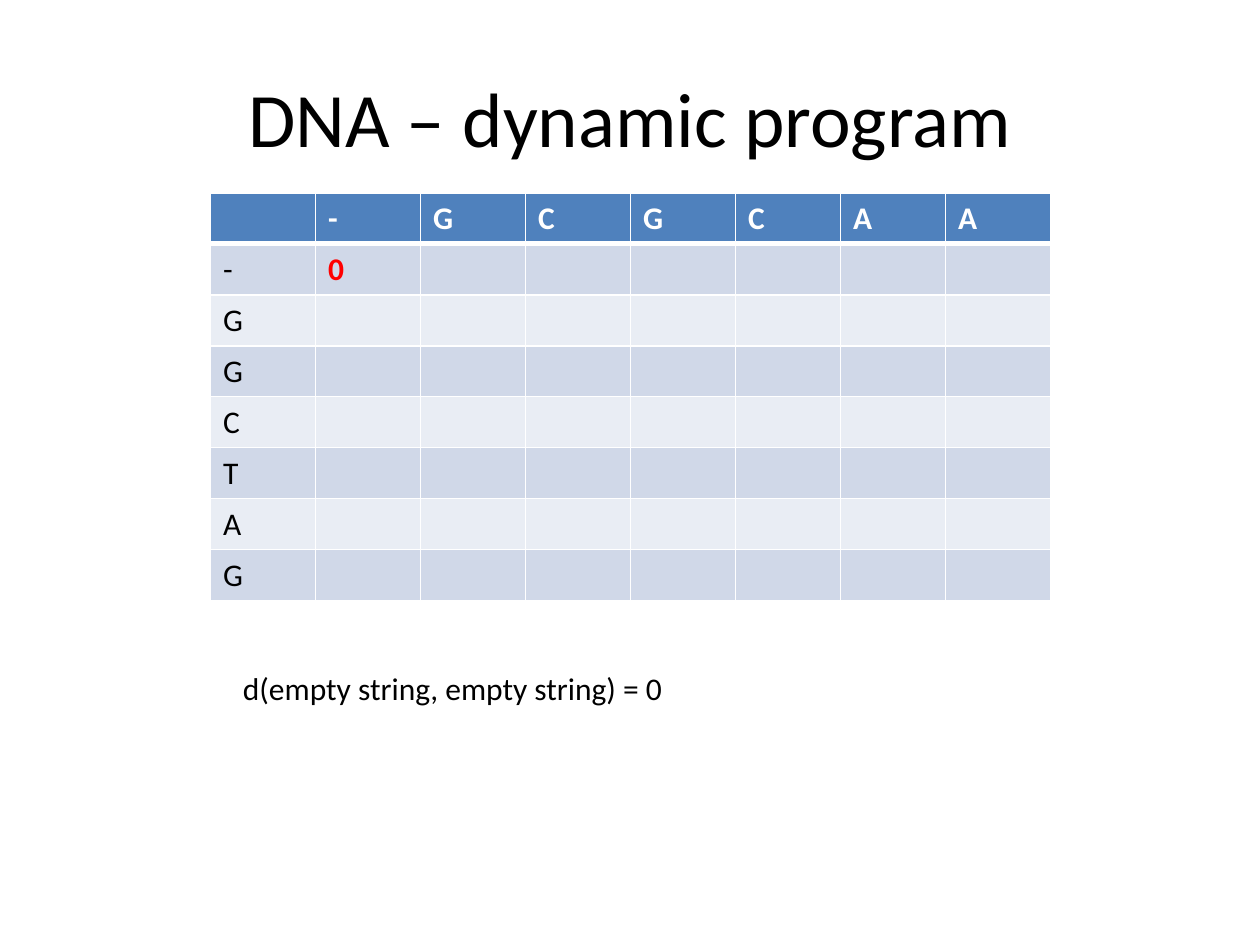
from lxml.etree import SubElement
from pptx import Presentation
from pptx.dml.color import RGBColor
from pptx.enum.text import MSO_ANCHOR, PP_ALIGN
from pptx.oxml.ns import qn
from pptx.util import Inches, Pt

COLUMN_LETTERS = "-GCGCAA"
ROW_LETTERS = "-GGCTAG"
HEADER_FILL = "4F81BD"
BAND_FILLS = ("E9EDF4", "D0D8E8")
BLACK, WHITE, RED = "000000", "FFFFFF", "FF0000"


def paint(color_format, color):
    color_format.rgb = RGBColor.from_string(color)


def write(frame, text, size=18, color=BLACK, bold=False, align=PP_ALIGN.LEFT):
    para = frame.paragraphs[0]
    para.alignment = align
    span = para.add_run()
    span.text = text
    span.font.name = "Calibri"
    span.font.size = Pt(size)
    span.font.bold = bold
    paint(span.font.color, color)


def add_text(page, text, left, top, width, height, wrap=False,
             anchor=MSO_ANCHOR.TOP, **style):
    box = page.shapes.add_textbox(Inches(left), Inches(top), Inches(width), Inches(height))
    box.text_frame.word_wrap = wrap
    box.text_frame.vertical_anchor = anchor
    write(box.text_frame, text, **style)


def set_borders(cell, top=1, bottom=1):
    """Draw white borders, with widths in points."""
    properties = cell._tc.get_or_add_tcPr()
    for side, width in (("L", 1), ("R", 1), ("T", top), ("B", bottom)):
        line = SubElement(properties, qn(f"a:ln{side}"), w=str(Pt(width)))
        fill = SubElement(line, qn("a:solidFill"))
        SubElement(fill, qn("a:srgbClr"), val=WHITE)


def style_cell(cell, row):
    set_borders(cell, top=3 if row == 1 else 1, bottom=3 if row == 0 else 1)
    cell.fill.solid()
    paint(cell.fill.fore_color, BAND_FILLS[row % 2] if row else HEADER_FILL)


def add_distance_table(page):
    row_count, column_count = len(ROW_LETTERS) + 1, len(COLUMN_LETTERS) + 1
    table = page.shapes.add_table(row_count, column_count, Inches(1.67), Inches(1.53),
                                  Inches(6.67), Inches(3.24)).table
    for row in range(row_count):
        for column in range(column_count):
            style_cell(table.cell(row, column), row)
    for column, letter in enumerate(COLUMN_LETTERS, 1):
        write(table.cell(0, column).text_frame, letter, color=WHITE, bold=True)
    for row, letter in enumerate(ROW_LETTERS, 1):
        write(table.cell(row, 0).text_frame, letter)
    write(table.cell(1, 1).text_frame, "0", color=RED, bold=True)


def main():
    deck = Presentation()
    deck.slide_width, deck.slide_height = Inches(10), Inches(7.5)
    page = deck.slides.add_slide(deck.slide_layouts[6])
    add_text(page, "DNA – dynamic program", 0.5, 0.3, 9, 1.25, wrap=True,
             anchor=MSO_ANCHOR.MIDDLE, size=44, align=PP_ALIGN.CENTER)
    add_distance_table(page)
    add_text(page, "d(empty string, empty string) = 0", 1.83, 5.26, 3.57, 0.4)
    deck.save("out.pptx")


if __name__ == "__main__":
    main()
